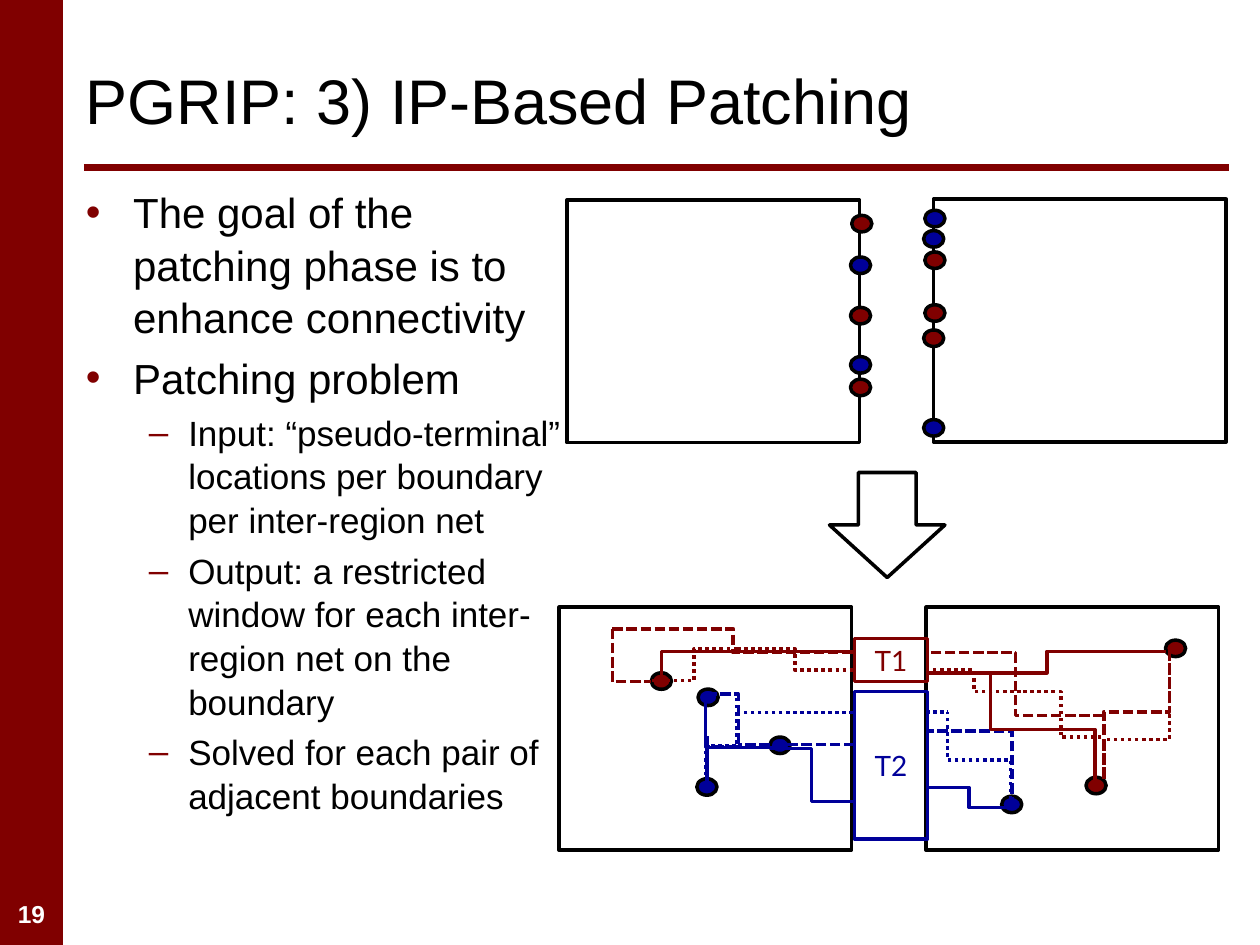
from lxml.etree import SubElement
from pptx import Presentation
from pptx.dml.color import RGBColor
from pptx.enum.dml import MSO_LINE
from pptx.enum.shapes import MSO_CONNECTOR, MSO_SHAPE
from pptx.enum.text import MSO_ANCHOR, PP_ALIGN
from pptx.oxml.ns import qn
from pptx.util import Pt

RED, BLUE, BLACK, WHITE = "800000", "000099", "000000", "FFFFFF"
DOT_W, DOT_H = 11.5, 9.4
FRAME_W, FRAME_H = 167.2, 138.8

BODY = [
    (0, "The goal of the patching phase is to enhance connectivity"),
    (0, "Patching problem"),
    (1, "Input: “pseudo-terminal” locations per boundary per inter-region net"),
    (1, "Output: a restricted window for each inter-region net on the boundary"),
    (1, "Solved for each pair of adjacent boundaries"),
]
LEVELS = [("•", 24, 27, 27), ("–", 20, 58.5, 22.5)]

FRAMES = [(324, 114.2), (533.5, 113.8), (319.5, 347), (529.2, 347)]

TOP_DOTS = {
    RED: [(486.7, 123.1), (486, 175.7), (486, 216.7),
          (528.5, 144), (528.5, 174.2), (527.8, 188.6)],
    BLUE: [(486, 203.8), (486, 146.9), (527.8, 239.8),
           (528.5, 120.2), (527.8, 131.8)],
}
BOTTOM_DOTS = {
    RED: [(372.2, 384.5), (620.6, 444.2), (666, 365.8)],
    BLUE: [(440, 421.2), (398.9, 393.8), (398.2, 445), (572.4, 455)],
}

DASHED, SOLID, DOTTED = MSO_LINE.SQUARE_DOT, None, MSO_LINE.ROUND_DOT
WIRES = [
    (DASHED, RED, [
        [(630.7, 444.2), (630.7, 406.8), (668.2, 406.8), (668.2, 370.1)],
        [(630.7, 409), (580.3, 409), (580.3, 373), (529.9, 373)],
        [(349.9, 359.3), (419, 359.3), (419, 373), (488.2, 373)],
        [(349.9, 359.3), (349.9, 389.5), (372.2, 389.5)],
    ]),
    (DASHED, BLUE, [
        [(403.9, 396.7), (421.9, 396.7), (421.9, 427), (403.9, 427), (403.9, 443.5)],
        [(488.2, 425.5), (421.9, 425.5)],
        [(578.2, 461.5), (578.2, 417.6), (529.9, 417.6), (529.9, 407.5)],
    ]),
    (SOLID, RED, [
        [(378, 391), (378, 372.2), (488.2, 372.2)],
        [(529.9, 384.5), (598.3, 384.5), (598.3, 372.2), (666, 372.2)],
        [(565.9, 383.8), (565.9, 416.9), (625.7, 416.9), (625.7, 450)],
    ]),
    (SOLID, BLUE, [
        [(488.2, 457.9), (463.7, 457.9), (463.7, 427.7), (439.9, 427.7)],
        [(445.7, 427), (403.2, 427), (403.2, 401.8)],
        [(403.9, 447.8), (403.9, 420.5)],
        [(578.2, 461.5), (553.7, 461.5), (553.7, 450), (529.9, 450)],
    ]),
    (DOTTED, RED, [
        [(583.2, 395.3), (556.6, 395.3), (556.6, 383), (529.2, 383)],
        [(630.7, 445), (630.7, 422.6), (668.2, 422.6), (668.2, 370.8)],
        [(421.2, 370.8), (454.3, 370.8), (454.3, 383), (487.4, 383)],
        [(421.2, 370.8), (396.7, 370.8), (396.7, 388.8), (371.5, 388.8)],
        [(629.3, 421.2), (606.2, 421.2), (606.2, 395.3), (583.2, 395.3)],
    ]),
    (DOTTED, BLUE, [
        [(403.2, 396.7), (421.2, 396.7), (421.2, 426.2), (403.2, 426.2), (403.2, 442.8)],
        [(487.4, 407.2), (421.2, 407.2)],
        [(577.4, 460.8), (577.4, 434.2), (541.4, 434.2), (541.4, 406.8)],
        [(529.2, 406.8), (541.4, 406.8)],
    ]),
]


def rgb(color):
    return RGBColor.from_string(color)


def style_font(p, size, color, name="Arial", bold=False):
    for r in p.runs:
        r.font.size = Pt(size)
        r.font.name = name
        r.font.bold = bold
        r.font.color.rgb = rgb(color)


def style_line(line, color, width=2, dash=None):
    line.color.rgb = rgb(color)
    line.width = Pt(width)
    if dash:
        line.dash_style = dash


def add_shape(s, kind, x, y, w, h, fill=None, line=None):
    sp = s.shapes.add_shape(kind, Pt(x), Pt(y), Pt(w), Pt(h))
    sp.shadow.inherit = False
    if fill:
        sp.fill.solid()
        sp.fill.fore_color.rgb = rgb(fill)
    else:
        sp.fill.background()
    if line:
        style_line(sp.line, line)
    else:
        sp.line.fill.background()
    return sp


def add_line(s, start, end, color, width=2, dash=None):
    ends = [Pt(v) for v in (*start, *end)]
    cn = s.shapes.add_connector(MSO_CONNECTOR.STRAIGHT, *ends)
    SubElement(cn._element.spPr, qn("a:effectLst"))
    style_line(cn.line, color, width, dash)


def add_wire(s, points, color, dash):
    if len(points) == 2:
        add_line(s, *points, color, dash=dash)
        return
    corners = [(Pt(x), Pt(y)) for x, y in points]
    fb = s.shapes.build_freeform(*corners[0])
    fb.add_line_segments(corners[1:], close=False)
    sp = fb.convert_to_shape()
    sp.shadow.inherit = False
    sp.fill.background()
    style_line(sp.line, color, dash=dash)


def add_dots(s, dots):
    for color, places in dots.items():
        for x, y in places:
            add_shape(s, MSO_SHAPE.OVAL, x, y, DOT_W, DOT_H, color, BLACK)


def add_window(s, label, y, h, color):
    sp = add_shape(s, MSO_SHAPE.RECTANGLE, 488.2, y, 41.8, h, line=color)
    tf = sp.text_frame
    tf.text = label
    tf.vertical_anchor = MSO_ANCHOR.MIDDLE
    tf.paragraphs[0].alignment = PP_ALIGN.CENTER
    style_font(tf.paragraphs[0], 16, color, "Lato")


def add_text(s, text, x, y, w, h, size, color, bold=False):
    tf = s.shapes.add_textbox(Pt(x), Pt(y), Pt(w), Pt(h)).text_frame
    tf.word_wrap = True
    tf.text = text
    style_font(tf.paragraphs[0], size, color, bold=bold)
    return tf


def add_bullet(p, char, left, hanging):
    pPr = p._p.get_or_add_pPr()
    pPr.set("marL", str(Pt(left)))
    pPr.set("indent", str(-Pt(hanging)))
    clr = SubElement(pPr, qn("a:buClr"))
    SubElement(clr, qn("a:srgbClr"), val=RED)
    SubElement(pPr, qn("a:buFont"), typeface="Arial")
    SubElement(pPr, qn("a:buChar"), char=char)


def add_body(s):
    tf = s.shapes.add_textbox(Pt(42), Pt(102), Pt(288), Pt(420)).text_frame
    tf.word_wrap = True
    for i, (level, text) in enumerate(BODY):
        char, size, left, hanging = LEVELS[level]
        p = tf.add_paragraph() if i else tf.paragraphs[0]
        p.text = text
        p.level = level
        add_bullet(p, char, left, hanging)
        p.line_spacing = 1.045
        p.space_before = Pt(size * 0.2 if i else 0)
        style_font(p, size, BLACK)


def main():
    prs = Presentation()
    prs.slide_width, prs.slide_height = Pt(720), Pt(540)
    s = prs.slides.add_slide(prs.slide_layouts[6])

    add_shape(s, MSO_SHAPE.RECTANGLE, 0, 0, 36, 540, RED)
    add_line(s, (48, 96), (702, 96), RED, 4)
    tf = add_text(s, "19", 0, 510, 36, 24, 14, WHITE, bold=True)
    tf.paragraphs[0].alignment = PP_ALIGN.CENTER
    tf = add_text(s, "PGRIP: 3) IP-Based Patching", 42, 18, 660, 78, 36, BLACK)
    tf.vertical_anchor = MSO_ANCHOR.MIDDLE
    add_body(s)

    for x, y in FRAMES:
        add_shape(s, MSO_SHAPE.RECTANGLE, x, y, FRAME_W, FRAME_H, line=BLACK)
    add_window(s, "T1", 365, 24.5, RED)
    add_window(s, "T2", 395.3, 84.2, BLUE)
    add_dots(s, BOTTOM_DOTS)
    for dash, color, routes in WIRES:
        for points in routes:
            add_wire(s, points, color, dash)
    add_dots(s, TOP_DOTS)
    add_shape(s, MSO_SHAPE.DOWN_ARROW, 474, 270, 66, 60, WHITE, BLACK)

    prs.save("out.pptx")


if __name__ == "__main__":
    main()
